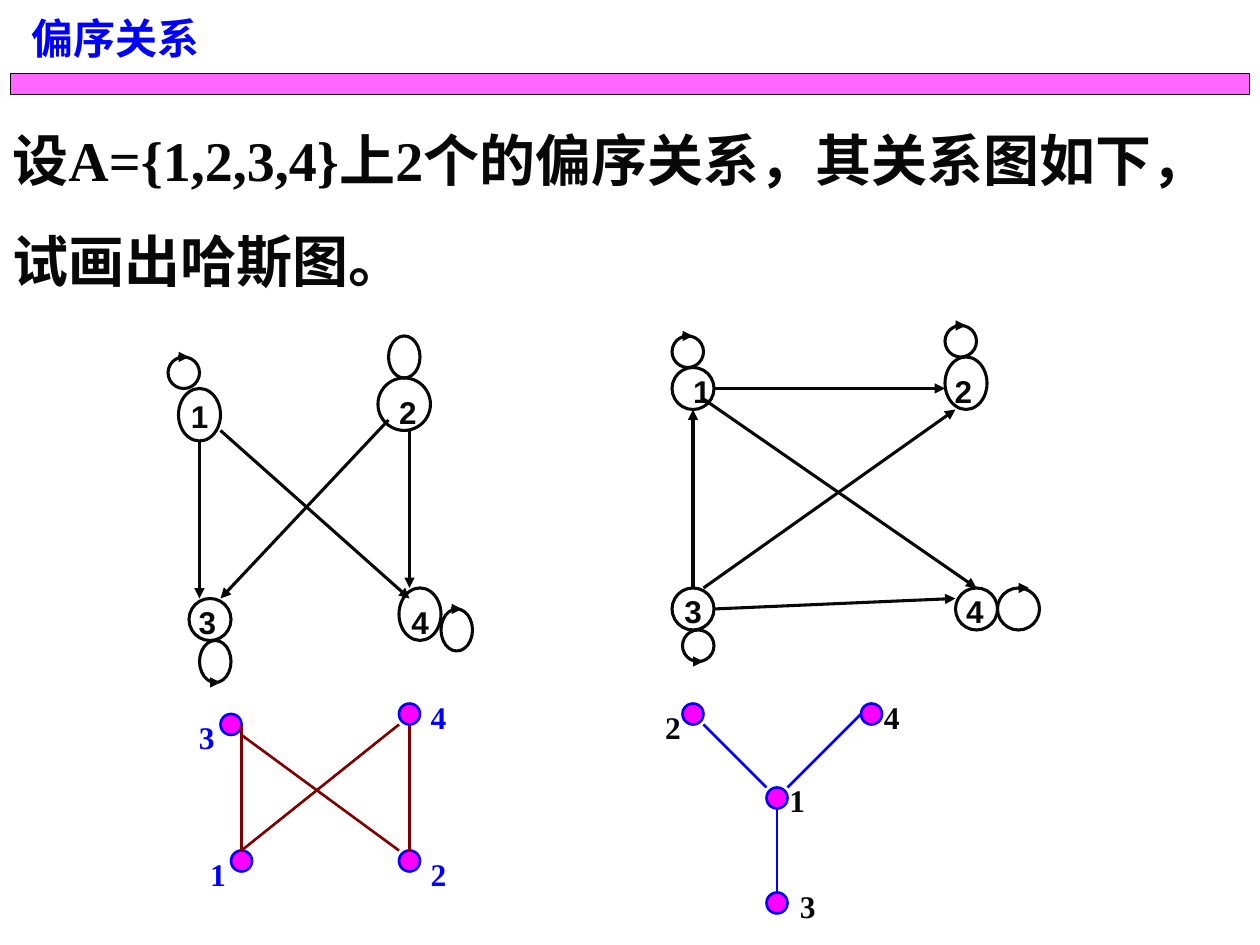
from lxml import etree
from pptx import Presentation
from pptx.dml.color import RGBColor
from pptx.enum.shapes import MSO_CONNECTOR, MSO_SHAPE
from pptx.enum.text import MSO_AUTO_SIZE
from pptx.oxml.ns import qn
from pptx.util import Pt

STRAIGHT = MSO_CONNECTOR.STRAIGHT
OVAL = MSO_SHAPE.OVAL
RECTANGLE = MSO_SHAPE.RECTANGLE
FIT_TEXT = MSO_AUTO_SIZE.SHAPE_TO_FIT_TEXT

COLORS = {"ink": "080808", "blue": "0000FF", "magenta": "FF00FF", "maroon": "800000"}
CJK, LATIN, SANS = "Noto Sans CJK SC", "Times New Roman", "Arial"
DOT_SIZE = 12

# Relation graphs: nodes and loops are (left, top, width, height);
# edges and loop arrowheads are (x1, y1, x2, y2); labels are (text, left, top).
RELATION_GRAPHS = [
    {
        "nodes": [(102, 222, 24, 30), (216, 216, 30, 30), (108, 342, 24, 24), (228, 336, 24, 30)],
        "loops": [(96, 204, 18, 18), (222, 192, 18, 24), (114, 366, 18, 24), (252, 348, 18, 24)],
        "labels": [("1", 102, 212.5), ("2", 221, 210), ("3", 106.5, 330.5), ("4", 228, 330.5)],
        "edges": [(126, 246, 234, 342), (222, 240, 126, 342),
                  (114, 252, 114, 342), (234, 246, 234, 336)],
        "loop_heads": [(258, 348, 264, 348), (120, 390, 126, 390),
                       (234, 192, 234, 192), (102, 204, 108, 204)],
    },
    {
        "nodes": [(384, 210, 24, 24), (540, 204, 24, 30), (384, 336, 24, 24), (546, 336, 24, 24)],
        "loops": [(384, 192, 18, 18), (540, 186, 18, 18), (390, 360, 18, 18), (570, 336, 24, 24)],
        "labels": [("1", 389, 198), ("2", 538.5, 198), ("3", 384, 324), ("4", 545, 324)],
        "edges": [(408, 222, 540, 222), (396, 336, 396, 234), (402, 336, 546, 234),
                  (408, 348, 546, 342), (402, 228, 558, 336)],
        "loop_heads": [(390, 192, 396, 192), (546, 186, 552, 186), (396, 378, 402, 378),
                       (582, 336, 582, 336), (582, 336, 588, 336)],
    },
]

# Hasse diagrams: dots are (left, top).
HASSE_DIAGRAMS = [
    {
        "edge_color": "maroon", "label_color": "blue",
        "dots": [(126, 408), (228, 402), (132, 486), (228, 486)],
        "edges": [(138, 420, 228, 486), (138, 486, 228, 414),
                  (138, 414, 138, 486), (234, 414, 234, 486)],
        "labels": [("3", 106.5, 396), ("1", 113, 474.5), ("4", 239, 384.5), ("2", 239, 474.5)],
    },
    {
        "edge_color": "blue", "label_color": "ink",
        "dots": [(390, 402), (492, 402), (438, 450), (438, 510)],
        "edges": [(402, 414, 438, 450), (450, 450, 492, 408), (444, 462, 444, 510)],
        "labels": [("2", 373, 390), ("4", 498, 384.5), ("1", 444, 432), ("3", 450, 492.5)],
    },
]


def rgb(name):
    return RGBColor.from_string(COLORS[name])


def add_outlined(shapes, kind, box, line_color, line_width, fill=None):
    shape = shapes.add_shape(kind, *map(Pt, box))
    shape.shadow.inherit = False
    if fill:
        shape.fill.solid()
        shape.fill.fore_color.rgb = rgb(fill)
    else:
        shape.fill.background()
    shape.line.color.rgb = rgb(line_color)
    shape.line.width = Pt(line_width)
    return shape


def add_line(shapes, ends, color, width, arrow=False):
    connector = shapes.add_connector(STRAIGHT, *map(Pt, ends))
    connector.line.color.rgb = rgb(color)
    connector.line.width = Pt(width)
    if arrow:
        etree.SubElement(connector.line._get_or_add_ln(), qn("a:tailEnd"), type="triangle")
    etree.SubElement(connector._element.spPr, qn("a:effectLst"))


def add_text(shapes, box, paragraphs, size, color, wrap=False):
    """Each paragraph is a list of (text, font name) runs."""
    text_box = shapes.add_textbox(*map(Pt, box))
    frame = text_box.text_frame
    frame.word_wrap = wrap
    frame.auto_size = FIT_TEXT
    for index, runs in enumerate(paragraphs):
        paragraph = frame.paragraphs[0] if index == 0 else frame.add_paragraph()
        paragraph.line_spacing = 1.5
        for text, font_name in runs:
            run = paragraph.add_run()
            run.text = text
            run.font.name = font_name
            run.font.size = Pt(size)
            run.font.bold = True
            run.font.color.rgb = rgb(color)
            etree.SubElement(run._r.get_or_add_rPr(), qn("a:ea"), typeface=CJK)


def add_label(shapes, label, font_name, color, width):
    text, left, top = label
    add_text(shapes, (left, top, width, 39.5), [[(text, font_name)]], 18, color)


def add_title_bar(shapes):
    bar = add_outlined(shapes, RECTANGLE, (6, 42, 708, 12), "ink", 0.75, "magenta")
    color = bar.fill._xPr.find(qn("a:solidFill")).find(qn("a:srgbClr"))
    etree.SubElement(color, qn("a:alpha"), val="60000")


def add_relation_graph(shapes, graph):
    for box in graph["nodes"] + graph["loops"]:
        add_outlined(shapes, OVAL, box, "ink", 1.75)
    for label in graph["labels"]:
        add_label(shapes, label, SANS, "ink", 24.5)
    for ends in graph["edges"] + graph["loop_heads"]:
        add_line(shapes, ends, "ink", 1.75, arrow=True)


def add_hasse_diagram(shapes, diagram):
    group = shapes.add_group_shape().shapes
    for left, top in diagram["dots"]:
        add_outlined(group, OVAL, (left, top, DOT_SIZE, DOT_SIZE), "blue", 1.5, "magenta")
    for ends in diagram["edges"]:
        add_line(group, ends, diagram["edge_color"], 1.5)
    for label in diagram["labels"]:
        add_label(group, label, LATIN, diagram["label_color"], 23)


def main():
    presentation = Presentation()
    presentation.slide_width, presentation.slide_height = Pt(720), Pt(540)
    slide = presentation.slides.add_slide(presentation.slide_layouts[6])
    shapes = slide.shapes

    add_title_bar(shapes)
    add_text(shapes, (11, -11, 145.5, 50.5), [[("偏序关系", SANS)]], 24, "blue", wrap=True)
    question = [
        [("设", CJK), ("A={1,2,3,4}", LATIN), ("上", CJK), ("2", LATIN),
         ("个的偏序关系，其关系图如下，", CJK)],
        [("试画出哈斯图。", CJK)],
    ]
    add_text(shapes, (0, 49, 699, 122.5), question, 32, "ink")

    for graph in RELATION_GRAPHS:
        add_relation_graph(shapes, graph)
    for diagram in HASSE_DIAGRAMS:
        add_hasse_diagram(shapes, diagram)

    presentation.save("out.pptx")


if __name__ == "__main__":
    main()
